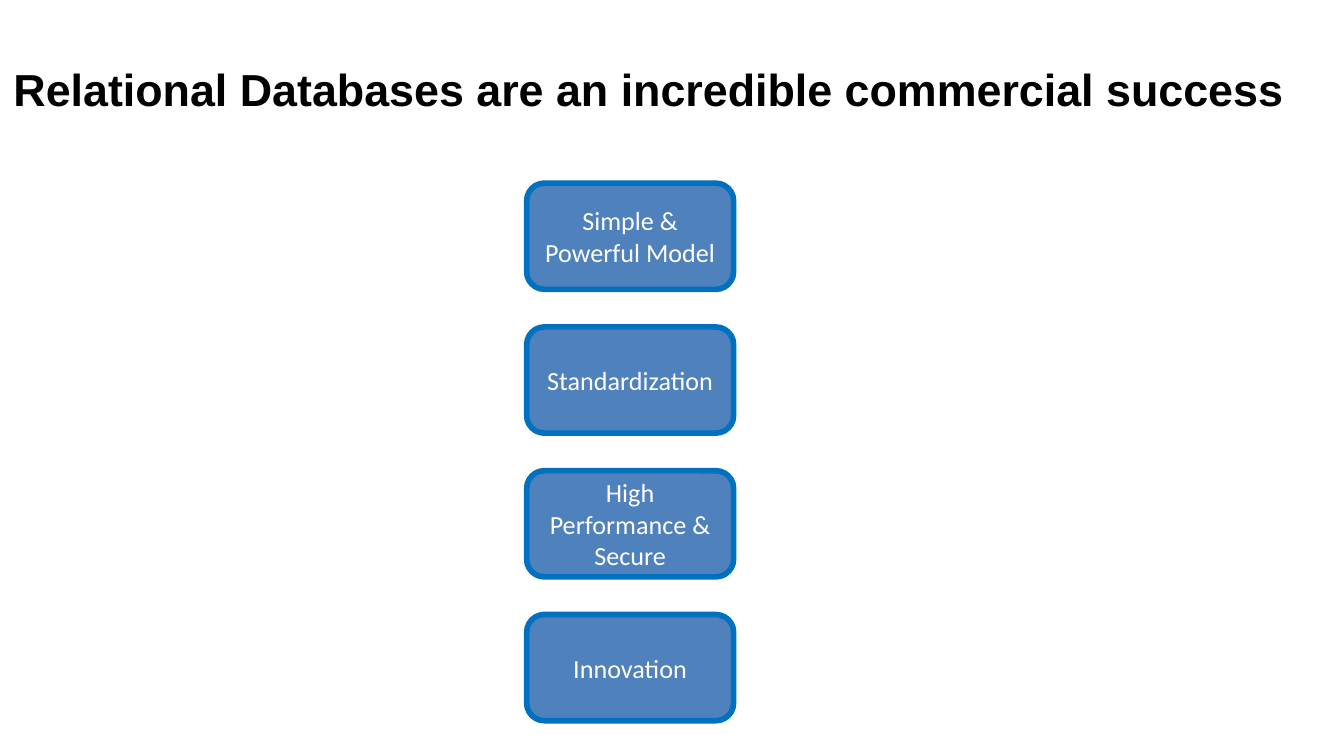
from pptx import Presentation
from pptx import util as u
from pptx.dml import color
from pptx.enum import shapes, text

PX = 1143
STRENGTHS = [
    "Simple & Powerful Model",
    "Standardization",
    "High Performance & Secure",
    "Innovation",
]


def emu(*lengths):
    """Turn px lengths, 800 to the inch, into EMU."""
    return [u.Emu(length * PX) for length in lengths]


def rgb(value):
    """Return the colour for a hex string."""
    return color.RGBColor.from_string(value)


def write(frame, words, *, size, font, ink, bold=False, align="LEFT",
          anchor="TOP", leading=None):
    """Write one formatted paragraph into a text frame."""
    frame.word_wrap = True
    frame.vertical_anchor = getattr(text.MSO_ANCHOR, anchor)
    paragraph = frame.paragraphs[0]
    paragraph.alignment = getattr(text.PP_ALIGN, align)
    if leading:
        paragraph.line_spacing = u.Pt(leading)
    run = paragraph.add_run()
    run.text = words
    run.font.size = u.Pt(size)
    run.font.name = font
    run.font.bold = bold
    run.font.color.rgb = rgb(ink)


def place_headline(slide, left, top, width, height):
    """Move the title placeholder into its box and fill it."""
    headline = slide.shapes.title
    headline.left, headline.top, headline.width, headline.height = emu(
        left, top, width, height)
    write(headline.text_frame,
          "Relational Databases are an incredible commercial success",
          size=24, font="Arial", ink="000000", bold=True, leading=24)
    headline.text_frame.auto_size = text.MSO_AUTO_SIZE.SHAPE_TO_FIT_TEXT


def place_strengths(slide, left, top, width, height, gap=224):
    """Stack the strengths as equal rounded cards in one group."""
    count = len(STRENGTHS)
    card_height = (height - gap * (count - 1)) // count
    stack = slide.shapes.add_group_shape()
    for row, strength in enumerate(STRENGTHS):
        card = stack.shapes.add_shape(
            shapes.MSO_SHAPE.ROUNDED_RECTANGLE,
            *emu(left, top + row * (card_height + gap), width, card_height))
        card.shadow.inherit = False
        card.fill.solid()
        card.fill.fore_color.rgb = rgb("4F81BD")
        card.line.color.rgb = rgb("0070C0")
        card.line.width = u.Pt(3)
        write(card.text_frame, strength, size=14, font="Calibri",
              ink="FFFFFF", align="CENTER", anchor="MIDDLE")


def main():
    """Build the slide and save it."""
    deck = Presentation()
    deck.slide_width, deck.slide_height = emu(8000, 4500)
    slide = deck.slides.add_slide(deck.slide_layouts.get_by_name("Title Only"))
    place_strengths(slide, 3135, 1090, 1232, 3200)
    place_headline(slide, 0, 380, 8016, 352)
    deck.save("out.pptx")


if __name__ == "__main__":
    main()
